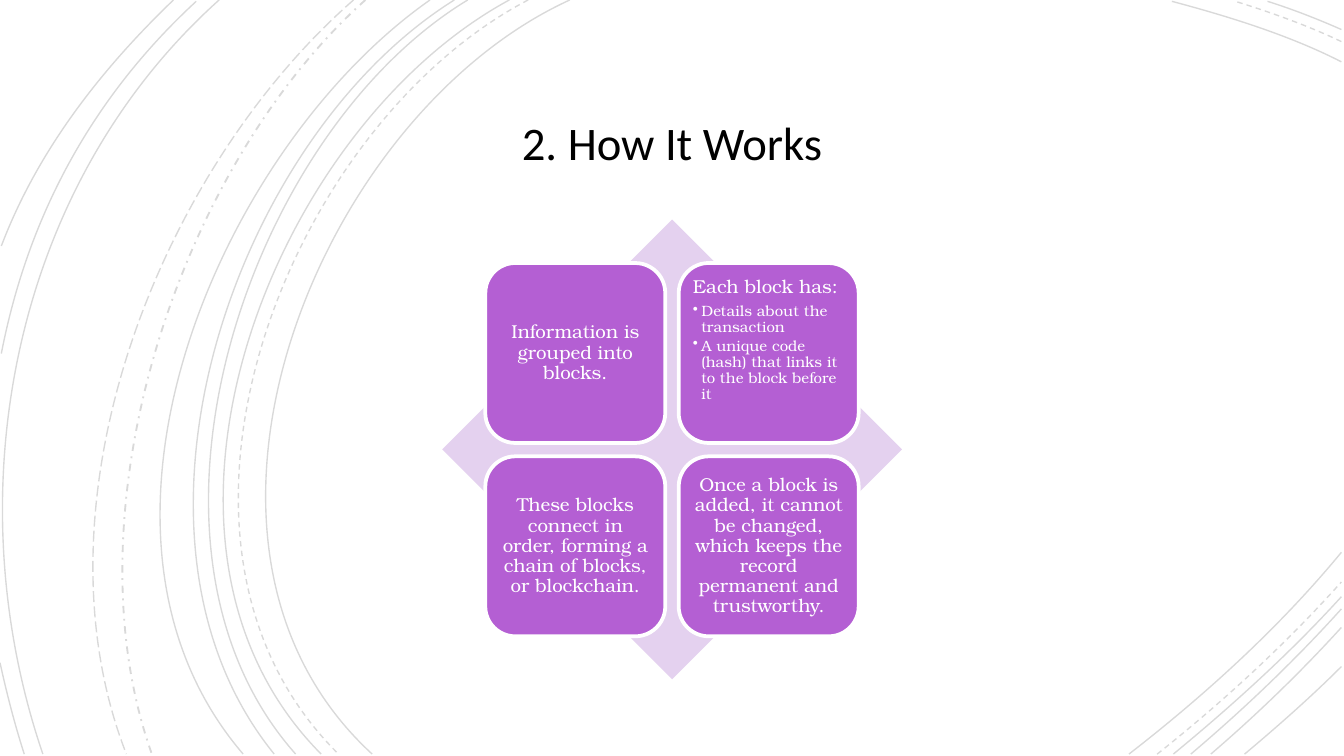
from pptx import Presentation
from pptx.dml.color import RGBColor
from pptx.enum.dml import MSO_LINE_DASH_STYLE as DASH
from pptx.enum.shapes import MSO_SHAPE as SHAPE
from pptx.enum.text import MSO_ANCHOR as ANCHOR, PP_ALIGN as ALIGN
from pptx.oxml.ns import qn
from pptx.util import Pt
from lxml.etree import SubElement

BLACK, WHITE, PURPLE, LILAC = "000000", "FFFFFF", "B45FD3", "E4D1EF"
TITLE_FONT, CARD_FONT = "Calibri", "TeX Gyre Bonum"
WIDTH, HEIGHT = 720, 405
BOTTOM, RIGHT = 404, 718.6
CARD, STEP, CARD_LEFT, CARD_TOP = 96.4, 103.6, 260, 140.9

LEFT_ARCS = [
    (305.3, 169.9, 61.9, 77, 291.6, 199.4, DASH.SOLID),
    (283, 153.4, 67.7, 66.2, 290.2, 181.4, DASH.DASH),
    (272.9, 145.4, 69.1, 59, 290.2, 172.1, DASH.SOLID),
    (250.6, 131.8, 72, 59, 292.3, 158.4, DASH.SOLID),
    (243.4, 124.6, 74.2, 52.6, 288, 146.9, DASH.SOLID),
    (230.4, 117.4, 79.2, 28.8, 285.8, 130.3, DASH.SOLID),
    (195.8, 95, 90, 35.3, 275, 81.4, DASH.DASH_DOT),
    (189.4, 85, 91.4, 15.1, 269.3, 67.7, DASH.LONG_DASH),
    (117.4, 5.8, 100.1, -24.5, 265, 23, DASH.SOLID),
]
TOP_RIGHT_ARCS = [
    (33.1, 690.5, 18.7, 657.4, 8.6, 627.8, DASH.SOLID),
    (22.3, 700.6, 13.7, 680.4, 6.5, 661.7, DASH.DASH),
    (15.8, 705.6, 10.1, 692.6, 5, 679, DASH.SOLID),
]
BOTTOM_RIGHT_ARCS = [
    (604.8, 645.8, 372.2, 685.4, 336.2, 295.9, DASH.SOLID),
    (619.9, 654.5, 376.6, 688.3, 345.6, 311.8, DASH.DASH),
    (628.6, 660.2, 378, 691.2, 349.9, 319.7, DASH.SOLID),
    (637.9, 666, 380.2, 693.4, 354.2, 326.2, DASH.SOLID),
    (648.7, 673.2, 383, 697, 360, 336.2, DASH.SOLID),
    (666.7, 684, 389.5, 702, 373.7, 357.1, DASH.SOLID),
]
EDGE_ARCS = [
    ((105.1, 0.7), (49.7, 51.8), (15.1, 115.2), (0.7, 189.4)),
    ((0, 355), (3.6, 371.5), (7.9, 388.1), (13, BOTTOM)),
    ((92.9, 0), (54, 37.4), (20.2, 80.6), (0.7, 131.8)),
]
CARDS = [
    ["Information is grouped into blocks."],
    ["Each block has:", "Details about the transaction",
     "A unique code (hash) that links it to the block before it"],
    ["These blocks connect in order, forming a chain of blocks, or blockchain."],
    ["Once a block is added, it cannot be changed, which keeps the record "
     "permanent and trustworthy."],
]


def rgb(color):
    """Turn a hex string into a colour."""
    return RGBColor.from_string(color)


def bend(s):
    """Turn the three line segments of a freeform into one cubic curve."""
    outline = s.element.find(f".//{qn('a:path')}")
    curve = SubElement(outline, qn("a:cubicBezTo"))
    for segment in outline.findall(qn("a:lnTo")):
        curve.append(segment[0])
        outline.remove(segment)


def add_arc(shapes, points, dash=DASH.SOLID):
    """Draw a faint open curve from its end and control points."""
    start, *rest = [(Pt(x), Pt(y)) for x, y in points]
    builder = shapes.build_freeform(*start)
    builder.add_line_segments(rest, close=False)
    s = builder.convert_to_shape()
    bend(s)
    s.shadow.inherit = False
    s.fill.background()
    s.line.color.rgb = rgb(BLACK)
    s.line.width = Pt(1 if dash == DASH.DASH_DOT else 0.75)
    s.line.dash_style = dash
    color = s.element.find(f".//{qn('a:ln')}//{qn('a:srgbClr')}")
    SubElement(color, qn("a:alpha"), val="15000")


def add_arcs(shapes):
    """Draw all the background curves."""
    for x0, ax, ay, bx, by, x1, dash in LEFT_ARCS:
        add_arc(shapes, [(x0, 0), (ax, ay), (bx, by), (x1, BOTTOM)], dash)
    for y0, ax, ay, bx, by, x1, dash in TOP_RIGHT_ARCS:
        add_arc(shapes, [(RIGHT, y0), (ax, ay), (bx, by), (x1, 0.7)], dash)
    for x0, ax, ay, bx, by, y1, dash in BOTTOM_RIGHT_ARCS:
        add_arc(shapes, [(x0, BOTTOM), (ax, ay), (bx, by), (RIGHT, y1)], dash)
    for points in EDGE_ARCS:
        add_arc(shapes, points)


def set_frame(tf, inset, anchor):
    """Set the wrapping, insets and anchor of a text frame."""
    tf.word_wrap = True
    tf.margin_left = tf.margin_right = tf.margin_top = tf.margin_bottom = Pt(inset)
    tf.vertical_anchor = anchor


def write(p, text, size, font, color, align, spacing):
    """Write one formatted run into a paragraph."""
    p.alignment, p.line_spacing = align, spacing
    r = p.add_run()
    r.text = text
    r.font.size, r.font.name = Pt(size), font
    r.font.color.rgb = rgb(color)


def add_bullet(p, before):
    """Give a paragraph a hanging white bullet."""
    p.level, p.space_before = 1, Pt(before)
    pPr = p._p.get_or_add_pPr()
    pPr.set("marL", str(Pt(4.5)))
    pPr.set("indent", str(Pt(-4.5)))
    SubElement(SubElement(pPr, qn("a:buClr")), qn("a:srgbClr"), val=WHITE)
    SubElement(pPr, qn("a:buChar"), char="•")


def add_title(s, text):
    """Place and fill the title."""
    s.left, s.top, s.width, s.height = Pt(104), Pt(47.5), Pt(512), Pt(62)
    set_frame(s.text_frame, 18, ANCHOR.MIDDLE)
    write(s.text_frame.paragraphs[0], text, 25, TITLE_FONT, BLACK, ALIGN.CENTER, 0.85)


def add_block(shapes, kind, left, top, width, height, fill):
    """Add a filled preset shape without a line."""
    s = shapes.add_shape(kind, Pt(left), Pt(top), Pt(width), Pt(height))
    s.shadow.inherit = False
    s.fill.solid()
    s.fill.fore_color.rgb = rgb(fill)
    s.line.fill.background()
    return s


def add_card(shapes, left, top, lines):
    """Add a rounded card with a statement and optional bullets."""
    s = add_block(shapes, SHAPE.ROUNDED_RECTANGLE, left, top, CARD, CARD, PURPLE)
    s.line.color.rgb = rgb(WHITE)
    s.line.width = Pt(2)
    head, *bullets = lines
    tf = s.text_frame
    set_frame(tf, 2.9, ANCHOR.TOP if bullets else ANCHOR.MIDDLE)
    align = ALIGN.LEFT if bullets else ALIGN.CENTER
    write(tf.paragraphs[0], head, 10, CARD_FONT, WHITE, align, 0.9)
    for i, text in enumerate(bullets):
        p = tf.add_paragraph()
        write(p, text, 8, CARD_FONT, WHITE, align, 0.9)
        add_bullet(p, 1.2 if i else 3.5)


def main():
    """Build the slide."""
    prs = Presentation()
    prs.slide_width, prs.slide_height = Pt(WIDTH), Pt(HEIGHT)
    slide = prs.slides.add_slide(prs.slide_layouts[5])
    shapes = slide.shapes
    add_block(shapes, SHAPE.RECTANGLE, 0, 0, WIDTH, HEIGHT, WHITE)
    add_arcs(shapes)
    title = shapes.title
    shapes.element.append(title.element)
    add_title(title, "2. How It Works")
    add_block(shapes, SHAPE.DIAMOND, 236.9, 117.6, 246.3, 246.3, LILAC)
    for i, lines in enumerate(CARDS):
        row, col = divmod(i, 2)
        add_card(shapes, CARD_LEFT + col * STEP, CARD_TOP + row * STEP, lines)
    prs.save("out.pptx")


if __name__ == "__main__":
    main()
